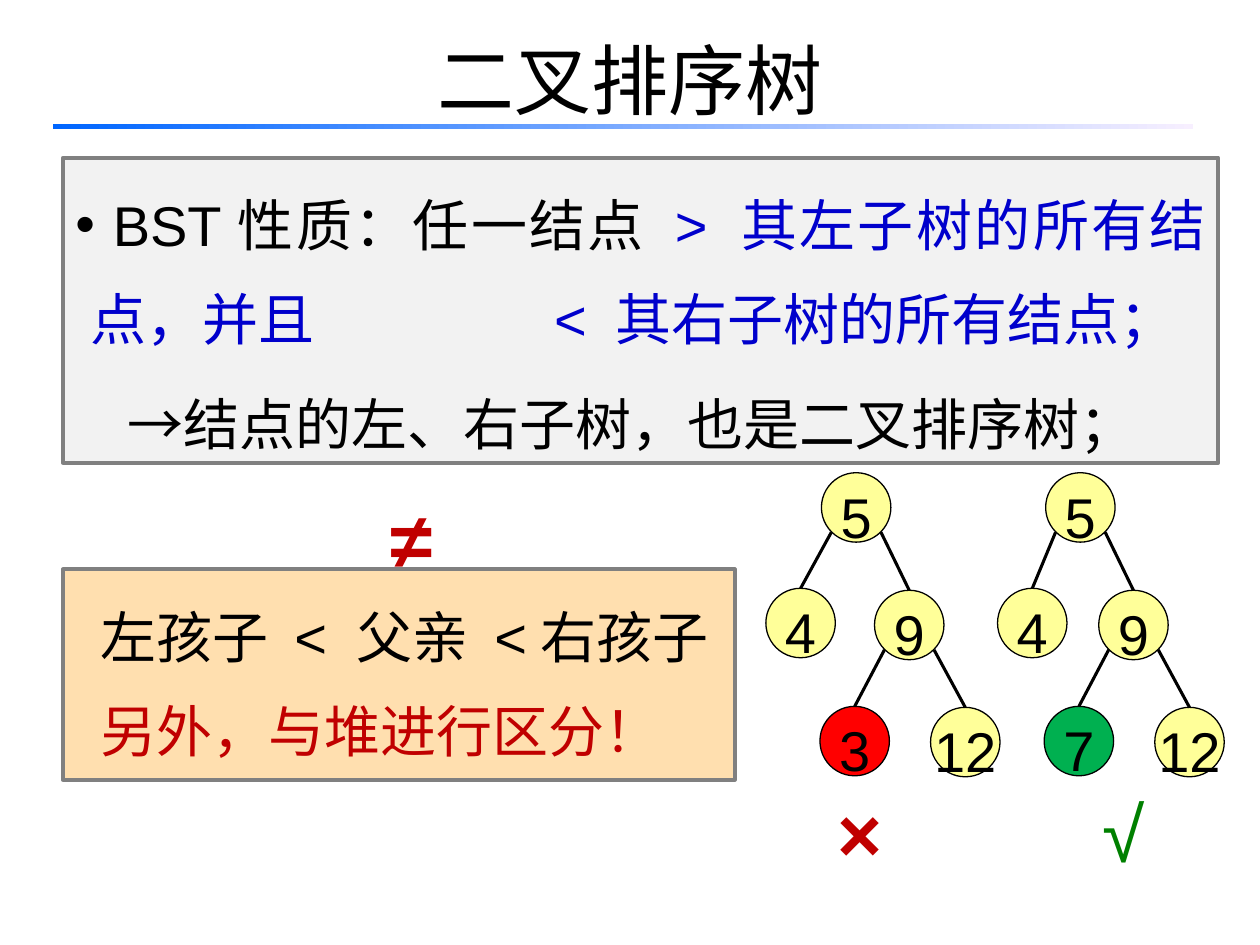
from pptx import Presentation
from pptx.util import Cm, Pt
from pptx.dml.color import RGBColor as RGB
from pptx.enum.shapes import MSO_SHAPE as Shape, MSO_CONNECTOR as Link
from pptx.enum.text import PP_ALIGN as Align, MSO_ANCHOR as Anchor, MSO_AUTO_SIZE as Auto
from pptx.oxml.ns import qn
from lxml.etree import SubElement

BLACK = RGB(0x00, 0x00, 0x00)
GRAY = RGB(0x80, 0x80, 0x80)
PALE = RGB(0xF2, 0xF2, 0xF2)
PEACH = RGB(0xFF, 0xDF, 0xAF)
YELLOW = RGB(0xFF, 0xFF, 0x99)
BLUE = RGB(0x00, 0x00, 0xCC)
CRIMSON = RGB(0xC0, 0x00, 0x00)
RED = RGB(0xFF, 0x00, 0x00)
GREEN = RGB(0x00, 0xB0, 0x50)
DARK = RGB(0x00, 0x80, 0x00)
SKY = RGB(0x00, 0x66, 0xFF)
MIST = RGB(0xF7, 0xEF, 0xFF)
CJK = "Noto Sans CJK SC"


def write(para, text, color, size=32, name="Arial", bold=False, **form):
    """Add a run to a paragraph and set the paragraph format from form."""
    for key, val in form.items():
        setattr(para, key, val)
    run = para.add_run()
    run.text = text
    run.font.color.rgb = color
    for key, val in {"size": Pt(size), "name": name, "bold": bold}.items():
        setattr(run.font, key, val)
    SubElement(run.font._element, qn("a:ea"), typeface=CJK)


def draw(kind, left, top, width, height, fill, line, weight):
    """Add a filled, outlined shape; lengths in centimetres."""
    shape = slide.shapes.add_shape(kind, Cm(left), Cm(top), Cm(width), Cm(height))
    shape.shadow.inherit = False
    shape.fill.solid()
    shape.fill.fore_color.rgb = fill
    shape.line.color.rgb = line
    shape.line.width = Pt(weight)
    return shape


deck = Presentation()
deck.slide_width, deck.slide_height = Cm(25.4), Cm(19.05)
slide = deck.slides.add_slide(deck.slide_layouts[5])

# Title and the fading rule below it
title = slide.shapes.title
title.left, title.top, title.width, title.height = Cm(1.27), Cm(0), Cm(22.86), Cm(3.18)
title.text_frame.vertical_anchor = Anchor.MIDDLE
write(title.text_frame.paragraphs[0], "二叉排序树", BLACK, 44, CJK, alignment=Align.CENTER)

rule = draw(Shape.RECTANGLE, 1.07, 2.51, 22.99, 0.1, SKY, SKY, 1)
rule.line.fill.background()
rule.fill.gradient()
rule.fill.gradient_angle = 0
for stop, color, pos in zip(rule.fill.gradient_stops, (SKY, MIST), (0, 1)):
    stop.color.rgb = color
    stop.position = pos

# Definition box
box = draw(Shape.RECTANGLE, 1.27, 3.18, 23.29, 6.15, PALE, GRAY, 2.25)
frame = box.text_frame
frame.word_wrap = True
frame.vertical_anchor = Anchor.TOP
first, second = frame.paragraphs[0], frame.add_paragraph()
props = first._p.get_or_add_pPr()
props.set("marL", str(Cm(0.3)))
props.set("indent", str(Cm(-0.3)))
SubElement(props, qn("a:buFont"), typeface="Arial")
SubElement(props, qn("a:buChar"), char="•")
tabs = SubElement(props, qn("a:tabLst"))
SubElement(tabs, qn("a:tab"), pos=str(Cm(9.65)), algn="l")
write(first, " BST性质：任一结点 ", BLACK, alignment=Align.JUSTIFY, line_spacing=1.4)
write(first, "> 其左子树的所有结点，并且\t< 其右子树的所有结点；", BLUE)
second._p.get_or_add_pPr().set("marL", str(Cm(1.05)))
write(second, "→结点的左、右子树，也是二叉排序树；", BLACK,
      alignment=Align.JUSTIFY, line_spacing=1.4, space_before=Pt(6))

# Contrast box
box = draw(Shape.RECTANGLE, 1.27, 11.48, 13.54, 4.24, PEACH, GRAY, 2.25)
frame = box.text_frame
frame.word_wrap = True
frame.vertical_anchor = Anchor.TOP
lines = [("左孩子 < 父亲 <右孩子", BLACK), ("另外，与堆进行区分！", CRIMSON)]
for para, (text, color) in zip((frame.paragraphs[0], frame.add_paragraph()), lines):
    para._p.get_or_add_pPr().set("marL", str(Cm(0.5)))
    write(para, text, color, alignment=Align.LEFT, line_spacing=1.4)

# Two trees: left edge, shift of the left child, text and fill of the odd node
SIZE = 1.4
trees = [(16.56, -1.12, "3", RED), (21.08, -0.97, "7", GREEN)]
for left, shift, odd, tint in trees:
    # text, fill, x, y, parent
    nodes = [
        ("5", YELLOW, left, 9.53, None),
        ("4", YELLOW, left + shift, 11.86, 0),
        ("9", YELLOW, left + 1.07, 11.9, 0),
        (odd, tint, left - 0.03, 14.24, 2),
        ("12", YELLOW, left + 2.2, 14.26, 2),
    ]
    for text, fill, x, y, above in nodes:
        node = draw(Shape.OVAL, x, y, SIZE, SIZE, fill, BLACK, 0.75)
        node.text_frame.word_wrap = False
        node.text_frame.vertical_anchor = Anchor.MIDDLE
        write(node.text_frame.paragraphs[0], text, BLACK,
              alignment=Align.CENTER, line_spacing=1.25)
        if above is None:
            continue
        px, py = nodes[above][2:4]
        side = 0.2 if x < px else SIZE - 0.2
        edge = slide.shapes.add_connector(
            Link.STRAIGHT, Cm(px + side), Cm(py + 1.2), Cm(x + SIZE / 2), Cm(y))
        edge.line.color.rgb = BLACK
        edge.line.width = Pt(1.75)
        SubElement(edge._element.spPr, qn("a:effectLst"))

# Verdict marks
marks = [
    ("≠", CRIMSON, True, 7.62, 9.32, 1.37, 2.39),
    ("×", CRIMSON, True, 16.64, 15.24, 2.08, 2.36),
    ("√", DARK, False, 21.97, 15.24, 1.37, 2.62),
]
for text, color, bold, *place in marks:
    mark = slide.shapes.add_textbox(*map(Cm, place))
    mark.text_frame.word_wrap = False
    mark.text_frame.auto_size = Auto.SHAPE_TO_FIT_TEXT
    write(mark.text_frame.paragraphs[0], text, color, 44, bold=bold, line_spacing=1.25)

deck.save("out.pptx")
